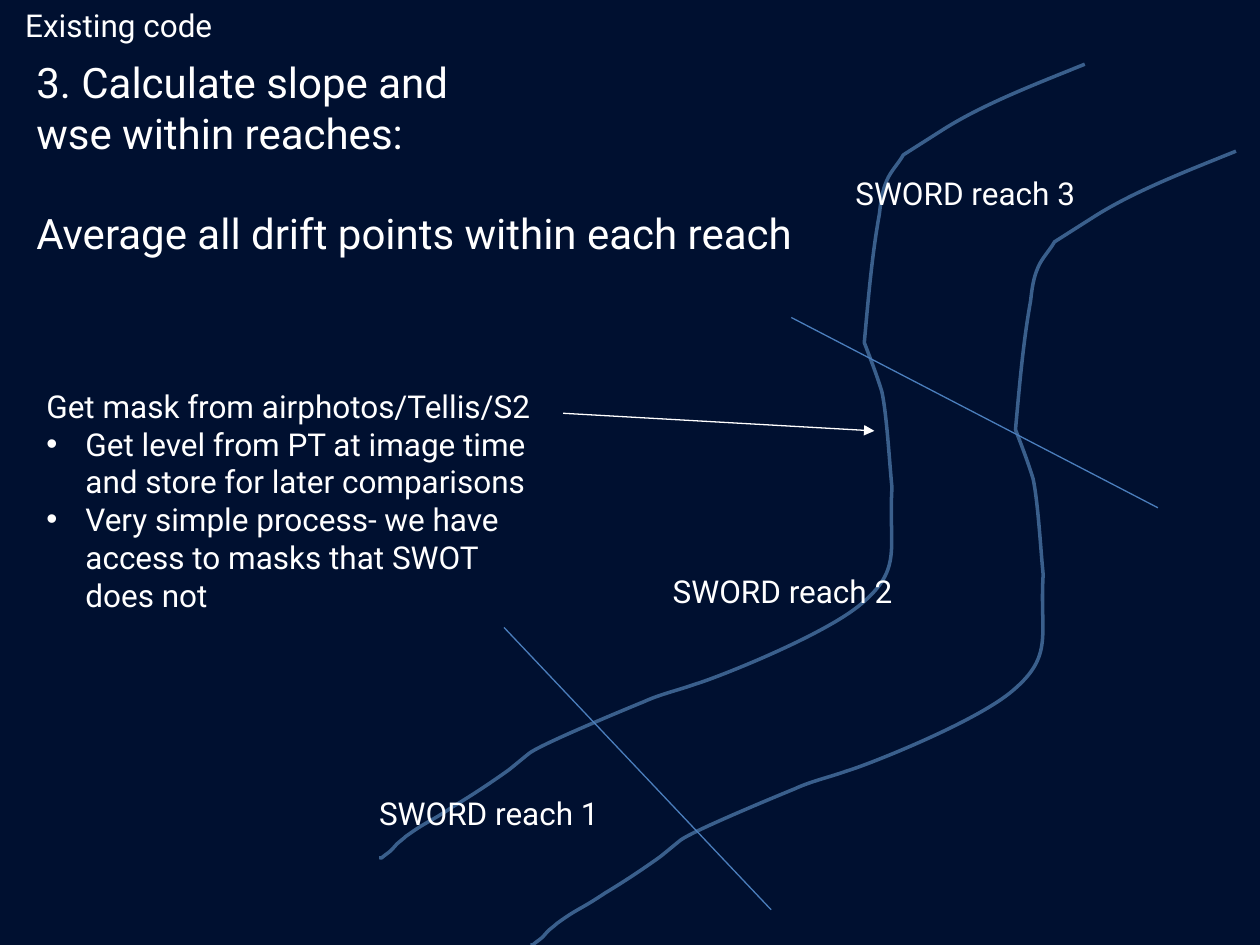
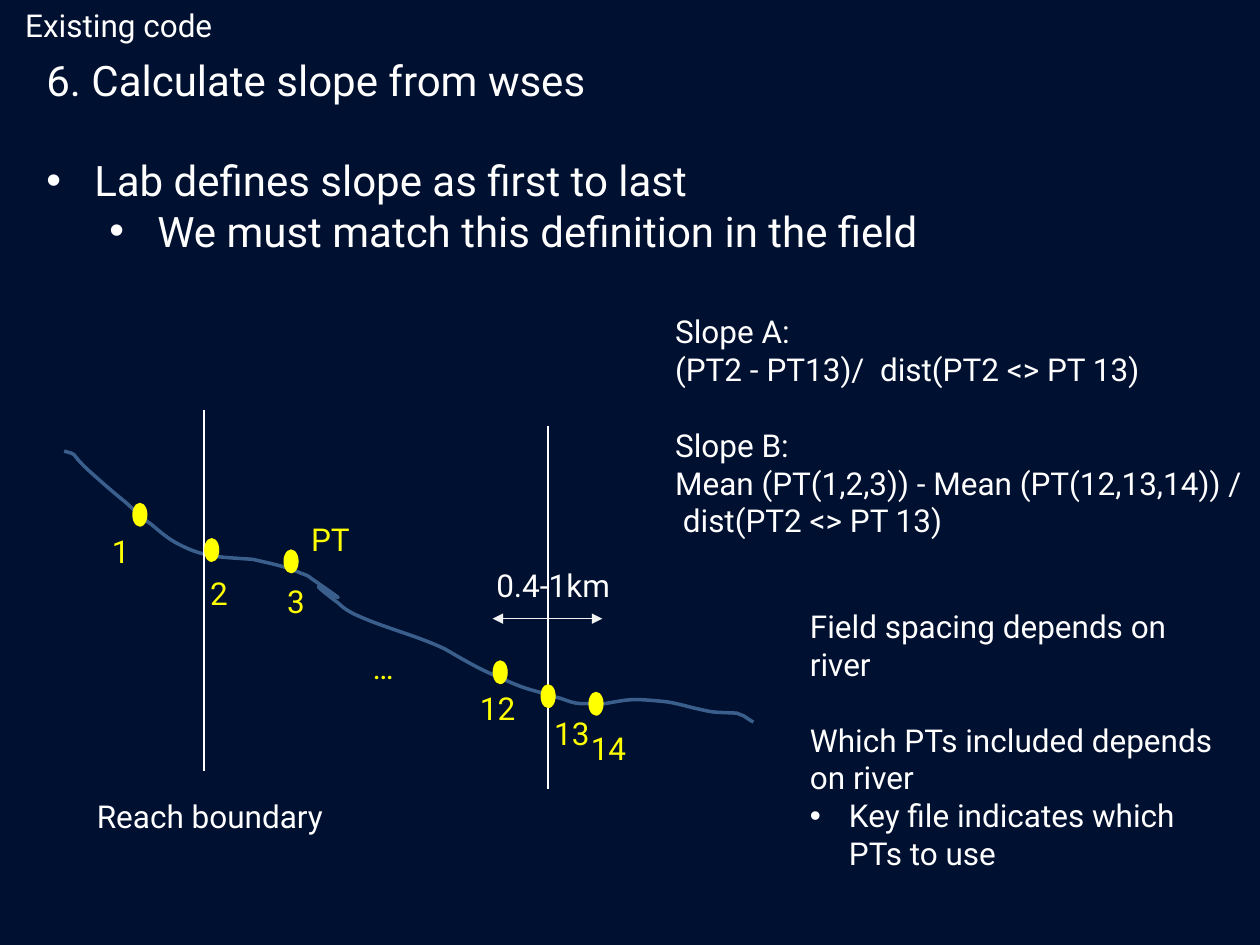
import dataclasses

import lxml.etree
import pptx
import pptx.dml.color
import pptx.enum.shapes
import pptx.enum.text
import pptx.oxml.ns
import pptx.util

Inches, Pt = pptx.util.Inches, pptx.util.Pt
RGB = pptx.dml.color.RGBColor.from_string
qn = pptx.oxml.ns.qn
MSO_SHAPE = pptx.enum.shapes.MSO_SHAPE


@dataclasses.dataclass(frozen=True)
class Theme:
    background: str = "001030"
    text: str = "FFFFFF"
    span: str = "F2F2F2"
    gauge: str = "FFFF00"
    river: str = "3A5F8C"
    boundary: str = "4B7EBC"
    font: str = "Roboto"
    heading: int = 24
    body: int = 18
    line_height: float = 1.2
    river_width: float = 2
    line_width: float = 0.75


theme = Theme()


def write_text(sp, paragraphs, size=theme.body, color=theme.text, wrap=False):
    """Fill sp with paragraphs: strings, or (text, bullet level, lines skipped before)."""
    tf = sp.text_frame
    frame_format = {
        "word_wrap": wrap,
        "auto_size": pptx.enum.text.MSO_AUTO_SIZE.SHAPE_TO_FIT_TEXT,
        "vertical_anchor": pptx.enum.text.MSO_ANCHOR.TOP,
    }
    for name, value in frame_format.items():
        setattr(tf, name, value)
    for i, item in enumerate(paragraphs):
        text, bullet, skipped = (item, 0, 0) if isinstance(item, str) else item
        p = tf.paragraphs[0] if i == 0 else tf.add_paragraph()
        p.alignment = pptx.enum.text.PP_ALIGN.LEFT
        p.space_before = Pt(round(skipped * size * theme.line_height, 1))
        r = p.add_run()
        r.text = text
        for name, value in {"name": theme.font, "size": Pt(size)}.items():
            setattr(r.font, name, value)
        r.font.color.rgb = RGB(color)
        if bullet:
            p.level = bullet - 1
            hanging = 0.38 if size == theme.heading else 0.31
            pPr = p._p.get_or_add_pPr()
            pPr.set("marL", str(Inches(hanging + 0.5 * p.level)))
            pPr.set("indent", str(Inches(-hanging)))
            lxml.etree.SubElement(pPr, qn("a:buFont")).set("typeface", "Arial")
            lxml.etree.SubElement(pPr, qn("a:buChar")).set("char", "•")


# Banks and profile: a start point, then curves (three points) or straight runs (one point).
left_bank = [
    (8.61, 0.51),
    (8.24, 0.66, 7.82, 0.82, 7.5, 1.02), (7.17, 1.23),
    (7.13, 1.3, 7.07, 1.36, 7.04, 1.43), (7, 1.52, 6.99, 1.61, 6.98, 1.7),
    (6.92, 2.03, 6.89, 2.39, 6.86, 2.72), (6.91, 2.85, 6.96, 2.98, 7, 3.11),
    (7.04, 3.3, 7.06, 3.68, 7.08, 3.87), (7.05, 4.35, 7.17, 4.51, 6.84, 4.79),
    (6.55, 5.04, 5.69, 5.38, 5.52, 5.43), (5.38, 5.48, 5.24, 5.51, 5.11, 5.57),
    (4.89, 5.66, 4.29, 5.91, 4.2, 5.98), (4.15, 6.02, 4.09, 6.07, 4.04, 6.11),
    (3.9, 6.21, 3.75, 6.31, 3.6, 6.4), (3.39, 6.54, 3.4, 6.51, 3.22, 6.64),
    (3.2, 6.66, 3.17, 6.68, 3.15, 6.7), (3.13, 6.72, 3.11, 6.75, 3.08, 6.77),
    (3.01, 6.82, 3.04, 6.81, 3.01, 6.81),
]
river_profile = [
    (0.51, 3.58),
    (0.64, 3.62, 0.53, 3.57, 0.7, 3.73), (0.8, 3.82, 0.89, 3.9, 0.99, 3.98),
    (1.06, 4.04, 1.12, 4.11, 1.2, 4.16), (1.27, 4.22, 1.34, 4.28, 1.42, 4.32),
    (1.63, 4.43, 1.76, 4.42, 2.01, 4.44), (2.18, 4.48, 2.25, 4.49, 2.39, 4.55),
    (2.42, 4.56, 2.45, 4.57, 2.47, 4.59), (3.06, 5, 2.19, 4.41, 2.69, 4.79),
    (2.74, 4.84, 2.8, 4.87, 2.87, 4.9), (3.08, 4.99, 3.32, 5.05, 3.53, 5.15),
    (3.67, 5.23, 3.8, 5.31, 3.95, 5.37), (4.21, 5.49, 4.19, 5.46, 4.4, 5.53),
    (4.46, 5.54, 4.51, 5.57, 4.57, 5.58), (4.63, 5.59, 4.7, 5.58, 4.77, 5.59),
    (5, 5.55, 5, 5.54, 5.29, 5.57), (5.36, 5.58, 5.43, 5.6, 5.51, 5.62),
    (5.69, 5.66, 5.64, 5.65, 5.85, 5.66), (5.86, 5.67, 5.88, 5.67, 5.9, 5.68),
    (5.92, 5.69, 5.94, 5.71, 5.96, 5.72), (5.97, 5.73, 5.97, 5.73, 5.98, 5.73),
]

heading = {"size": theme.heading, "wrap": True}
label = {"color": theme.gauge}

# Curves: (outline, dx, dy). Lines: (x1, y1, x2, y2, colour, arrowheads).
# Texts: (left, top, width, height, paragraphs, format).
slides = [
    {
        "curves": [(left_bank, 0, 0), (left_bank, 1.2, 0.69)],
        "lines": [
            (6.28, 2.52, 9.19, 4.03, theme.boundary, []),
            (4, 4.98, 6.12, 7.22, theme.boundary, []),
            (4.47, 3.28, 6.94, 3.42, theme.text, ["tailEnd"]),
        ],
        "gauges": [],
        "texts": [
            (0.19, 0.4, 9.63, 1.72, [
                "3. Calculate slope and",
                "wse within reaches:",
                ("Average all drift points within each reach", 0, 1),
            ], heading),
            (2.91, 6.25, 2.08, 0.4, ["SWORD reach 1"], {}),
            (5.24, 4.49, 2.08, 0.4, ["SWORD reach 2"], {}),
            (6.69, 1.33, 2.08, 0.4, ["SWORD reach 3"], {}),
            (0.27, 3.02, 4.2, 1.92, [
                "Get mask from airphotos/Tellis/S2",
                ("Get level from PT at image time and store for later comparisons", 1, 0),
                ("Very simple process- we have access to masks that SWOT does not", 1, 0),
            ], {"wrap": True}),
        ],
    },
    {
        "curves": [(river_profile, 0, 0)],
        "lines": [
            (1.62, 3.25, 1.62, 6.12, theme.text, []),
            (4.35, 3.38, 4.35, 6.26, theme.text, []),
            (3.91, 4.91, 4.78, 4.91, theme.span, ["headEnd", "tailEnd"]),
        ],
        "gauges": [(1.05, 3.99), (1.62, 4.27), (2.25, 4.36),
                   (3.91, 5.24), (4.29, 5.43), (4.67, 5.49)],
        "texts": [
            (0.27, 0.38, 9.63, 2.12, [
                "6. Calculate slope from wses",
                ("Lab defines slope as first to last", 1, 1),
                ("We must match this definition in the field", 2, 0),
            ], heading),
            (2.37, 4.08, 0.52, 0.4, ["PT"], label),
            (0.79, 4.17, 0.34, 0.4, ["1"], label),
            (1.57, 4.51, 0.34, 0.4, ["2"], label),
            (2.18, 4.57, 0.34, 0.4, ["3"], label),
            (2.86, 5.09, 0.45, 0.4, ["…"], label),
            (3.71, 5.42, 0.48, 0.4, ["12"], label),
            (4.3, 5.62, 0.48, 0.4, ["13"], label),
            (4.59, 5.74, 0.48, 0.4, ["14"], label),
            (0.67, 6.28, 2.05, 0.4, ["Reach boundary"], {}),
            (3.84, 4.44, 1.11, 0.4, ["0.4-1km"], {}),
            (5.26, 2.43, 4.83, 1.92, [
                "Slope A:",
                "(PT2 - PT13)/  dist(PT2 <> PT 13)",
                ("Slope B:", 0, 1),
                "Mean (PT(1,2,3)) - Mean (PT(12,13,14)) /",
                " dist(PT2 <> PT 13)",
            ], {}),
            (6.33, 4.77, 3.57, 2.22, [
                "Field spacing depends on river",
                ("Which PTs included depends", 0, 1),
                "on river",
                ("Key file indicates which PTs to use", 1, 0),
            ], {"wrap": True}),
        ],
    },
]

prs = pptx.Presentation()
prs.slide_width, prs.slide_height = Inches(10), Inches(7.5)
fill = prs.slide_master.background.fill
fill.solid()
fill.fore_color.rgb = RGB(theme.background)

for content in slides:
    s = prs.slides.add_slide(prs.slide_layouts[5])
    title = s.shapes.title
    place = {"left": 0.1, "top": 0, "width": 1.7, "height": 0.4}
    for name, value in place.items():
        setattr(title, name, Inches(value))
    write_text(title, ["Existing code"])

    for outline, dx, dy in content["curves"]:
        ends = [(Inches(segment[-2] + dx), Inches(segment[-1] + dy)) for segment in outline]
        builder = s.shapes.build_freeform(*ends[0])
        builder.add_line_segments(ends[1:], close=False)
        sp = builder.convert_to_shape()
        # Bend each straight segment that has control points into a cubic curve.
        straight_runs = list(sp._element.iter(qn("a:lnTo")))
        for run, segment in zip(straight_runs, outline[1:]):
            if len(segment) == 6:
                run.tag = qn("a:cubicBezTo")
                for i in (0, 1):
                    control = lxml.etree.Element(qn("a:pt"))
                    control.set("x", str(Inches(segment[2 * i] + dx) - sp.left))
                    control.set("y", str(Inches(segment[2 * i + 1] + dy) - sp.top))
                    run.insert(i, control)
        sp.shadow.inherit = False
        sp.fill.background()
        sp.line.color.rgb = RGB(theme.river)
        sp.line.width = Pt(theme.river_width)

    for x1, y1, x2, y2, color, arrowheads in content["lines"]:
        line = s.shapes.add_connector(pptx.enum.shapes.MSO_CONNECTOR.STRAIGHT,
                                      Inches(x1), Inches(y1), Inches(x2), Inches(y2))
        line.line.color.rgb = RGB(color)
        line.line.width = Pt(theme.line_width)
        for end in arrowheads:
            ln = line.line._get_or_add_ln()
            lxml.etree.SubElement(ln, qn(f"a:{end}")).set("type", "triangle")
        lxml.etree.SubElement(line._element.spPr, qn("a:effectLst"))

    for x, y in content["gauges"]:
        gauge = s.shapes.add_shape(MSO_SHAPE.OVAL, Inches(x), Inches(y),
                                   Inches(0.12), Inches(0.19))
        gauge.shadow.inherit = False
        gauge.fill.solid()
        gauge.fill.fore_color.rgb = RGB(theme.gauge)
        gauge.line.fill.background()

    for left, top, width, height, paragraphs, text_format in content["texts"]:
        box = s.shapes.add_textbox(Inches(left), Inches(top), Inches(width), Inches(height))
        write_text(box, paragraphs, **text_format)

prs.save("out.pptx")
